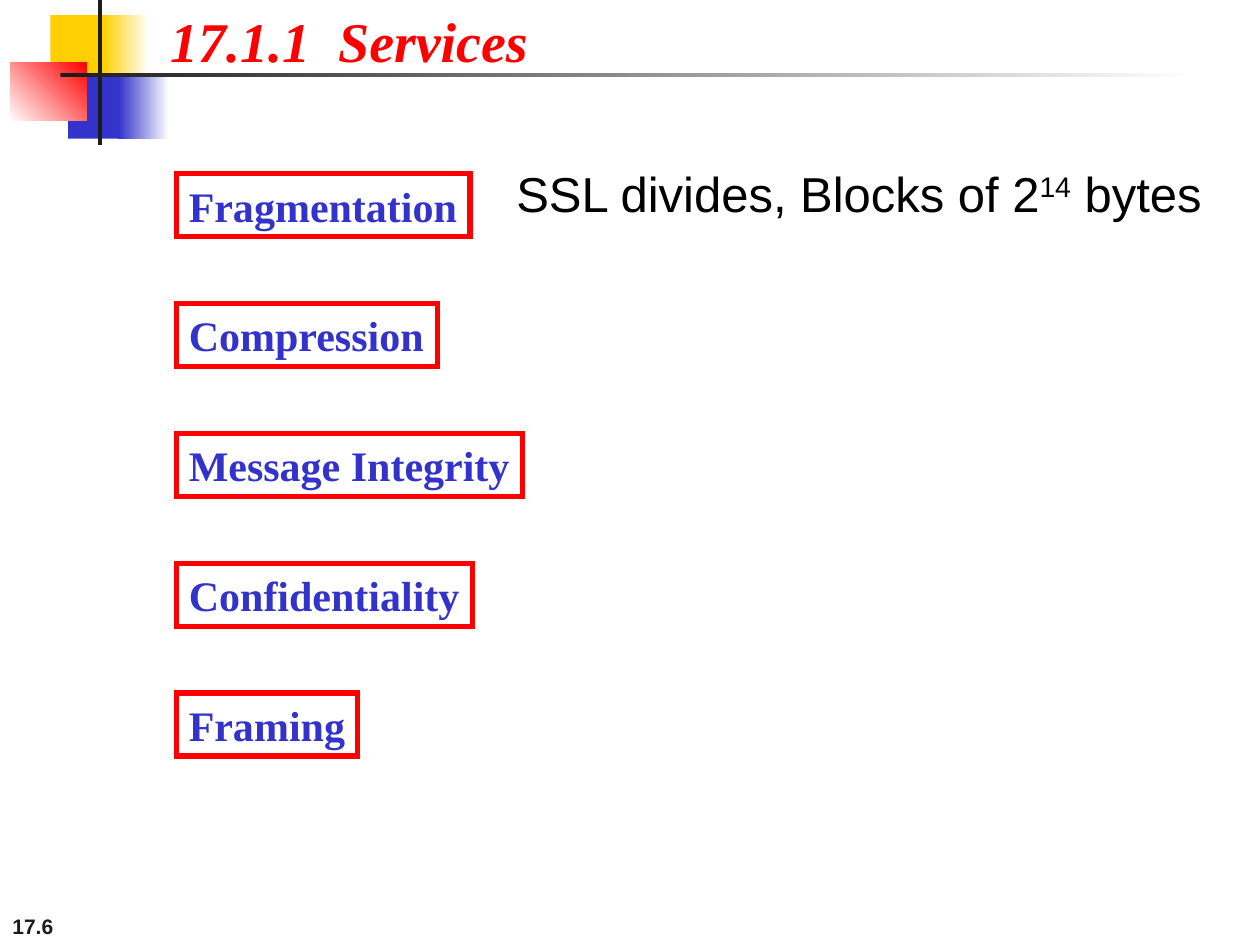
from lxml import etree
from pptx import Presentation
from pptx.dml.color import RGBColor
from pptx.enum import shapes, text
from pptx.oxml.ns import qn
from pptx.util import Inches, Pt

COLORS = {"yellow": "FFCF01", "blue": "3333CC", "red": "FF0000",
          "dark": "1C1C1C", "white": "FFFFFF", "black": "000000"}
RECT = shapes.MSO_SHAPE.RECTANGLE
FIT = text.MSO_AUTO_SIZE.SHAPE_TO_FIT_TEXT
TOP = text.MSO_ANCHOR.TOP


def rgb(name):
    return RGBColor.from_string(COLORS[name])


def write(sp, runs, color, font, frame):
    tf = sp.text_frame
    for key, value in frame.items():
        setattr(tf, key, value)
    p = tf.paragraphs[0]
    p.alignment = text.PP_ALIGN.LEFT
    for words in runs:
        r = p.add_run()
        r.text = words
        r.font.color.rgb = rgb(color)
        for key, value in font.items():
            setattr(r.font, key, value)
    return p


prs = Presentation()
prs.slide_width, prs.slide_height = Inches(10), Inches(7.5)
s = prs.slides.add_slide(prs.slide_layouts[5])

sp = s.shapes.add_textbox(Inches(0), Inches(7), Inches(2.08), Inches(0.5))
write(sp, ["17.6"], "dark", {"name": "Arial", "size": Pt(12), "bold": True},
      {"word_wrap": True, "vertical_anchor": text.MSO_ANCHOR.BOTTOM})

decor = [
    ((0.4, 0.12, 0.48, 0.52), ["yellow"], 0),
    ((0.82, 0.12, 0.36, 0.52), ["yellow", "white"], 0),
    ((0.54, 0.58, 0.46, 0.52), ["blue"], 0),
    ((0.94, 0.58, 0.4, 0.52), ["blue", "white"], 0),
    ((0.08, 0.5, 0.61, 0.46), ["white", "red"], 45),
    ((0.78, 0, 0.03, 1.15), ["dark"], 0),
    ((0.48, 0.58, 9, 0.03), ["dark", "white"], 0),
]
for box, colors, angle in decor:
    sp = s.shapes.add_shape(RECT, *map(Inches, box))
    sp.shadow.inherit = False
    sp.line.fill.background()
    if len(colors) == 1:
        sp.fill.solid()
        sp.fill.fore_color.rgb = rgb(colors[0])
    else:
        sp.fill.gradient()
        sp.fill.gradient_angle = angle
        for stop, color in zip(sp.fill.gradient_stops, colors):
            stop.color.rgb = rgb(color)

title = s.shapes.title
title.left, title.top, title.width, title.height = map(Inches, (1.25, 0, 3.15, 0.64))
write(title, ["17.1.1  Services"], "red",
      {"name": "Times New Roman", "size": Pt(32), "bold": True, "italic": True},
      {"word_wrap": False, "auto_size": FIT, "vertical_anchor": TOP})

services = [("Fragmentation", 2.33), ("Compression", 2.07), ("Message Integrity", 2.75),
            ("Confidentiality", 2.35), ("Framing", 1.44)]
for i, (service, width) in enumerate(services):
    sp = s.shapes.add_textbox(Inches(1.4), Inches(1.38 + 1.03 * i),
                              Inches(width), Inches(0.5))
    sp.line.color.rgb = rgb("red")
    sp.line.width = Pt(3)
    ln = sp._element.spPr.find(qn("a:ln"))
    etree.SubElement(ln, qn("a:miter")).set("lim", "800000")
    write(sp, [service], "blue",
          {"name": "Times New Roman", "size": Pt(24), "bold": True},
          {"word_wrap": False, "auto_size": FIT, "vertical_anchor": TOP})

sp = s.shapes.add_textbox(Inches(4), Inches(1.25), Inches(5.75), Inches(1.5))
p = write(sp, ["SSL divides, Blocks of 2", "14", " bytes"], "black",
          {"name": "Arial", "size": Pt(28)},
          {"word_wrap": True, "auto_size": FIT, "vertical_anchor": TOP})
p.runs[1].font._element.set("baseline", "30000")

prs.save("out.pptx")
